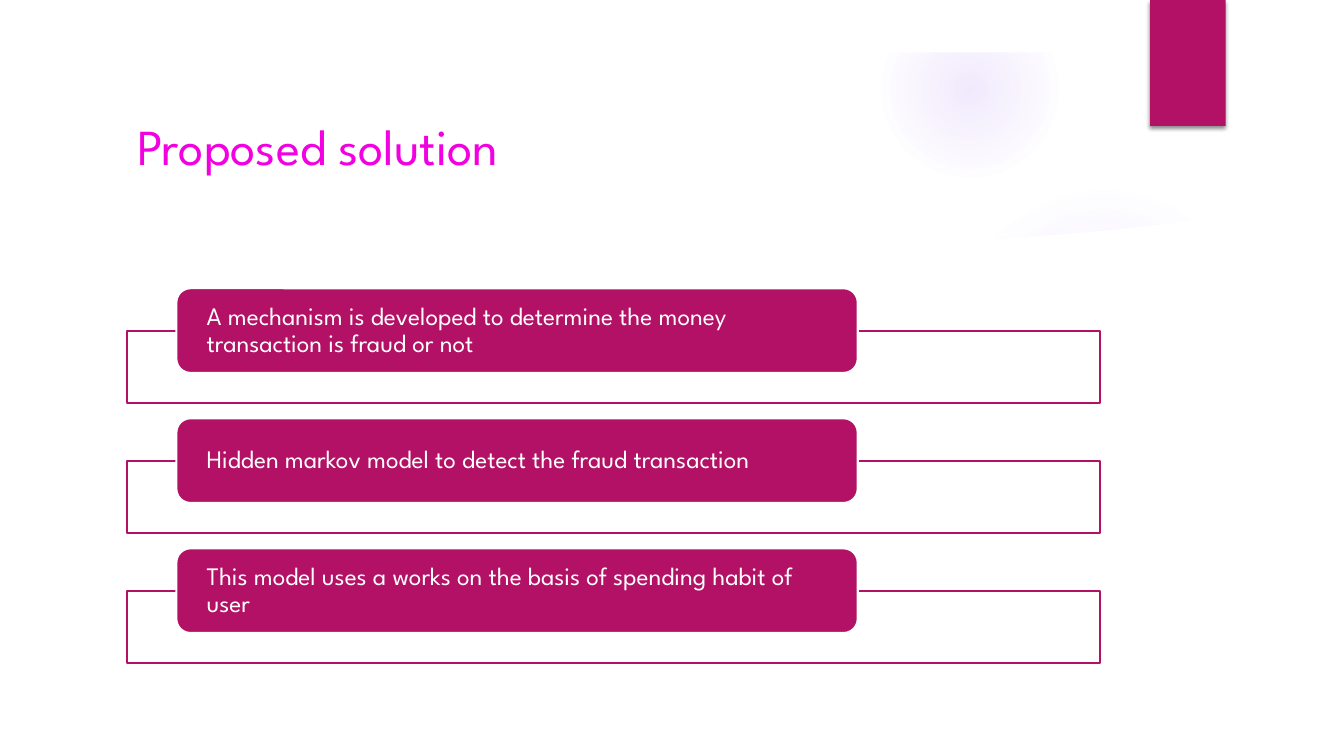
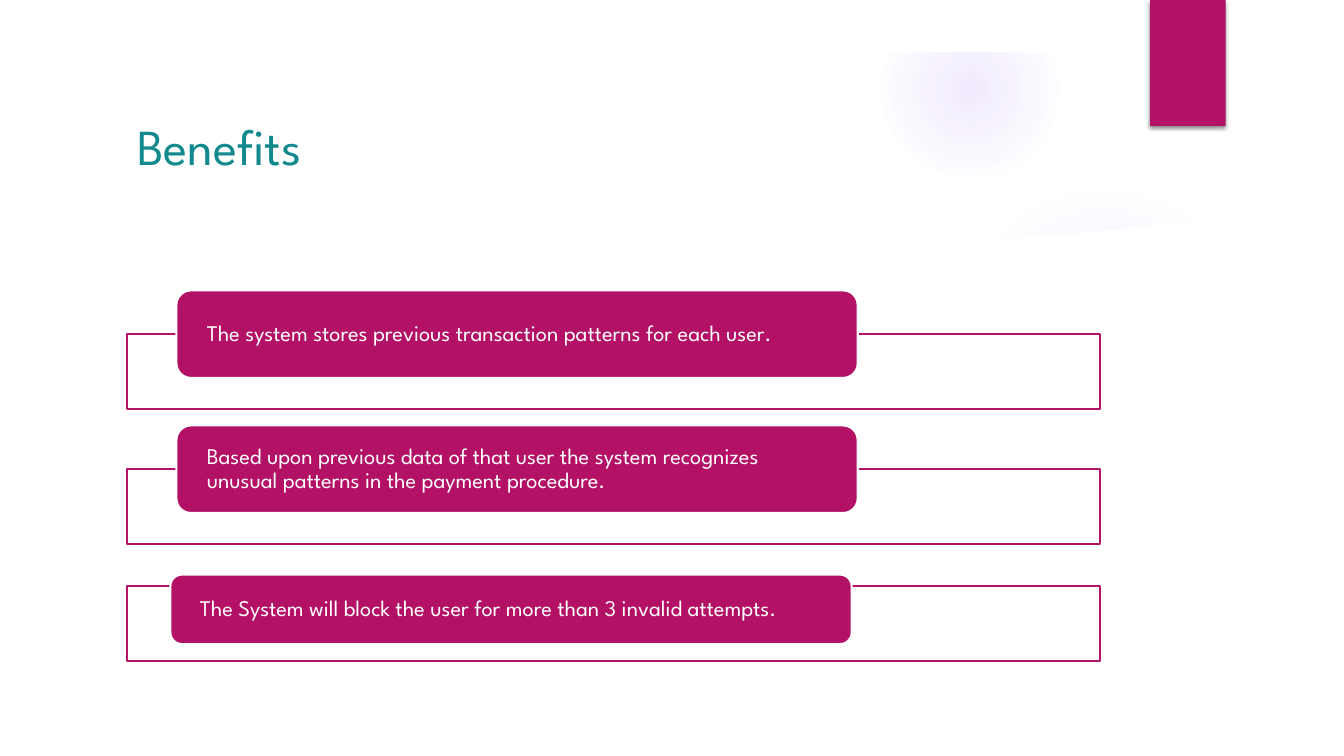
from pptx import Presentation
from pptx.dml.color import RGBColor
from pptx.enum.shapes import MSO_SHAPE
from pptx.enum.text import MSO_ANCHOR, PP_ALIGN
from pptx.oxml import parse_xml
from pptx.oxml.ns import nsdecls
from pptx.util import Pt

RECT, OVAL, ROUND = MSO_SHAPE.RECTANGLE, MSO_SHAPE.OVAL, MSO_SHAPE.ROUNDED_RECTANGLE
LEFT, MIDDLE = PP_ALIGN.LEFT, MSO_ANCHOR.MIDDLE

FONT = "League Spartan"
ACCENT, WHITE, GLOW = "B31166", "FFFFFF", "9B6BF2"
SLIDE_W, SLIDE_H = 960, 540
TITLE_BOX = (90.7, 76.3, 689.8, 55.4)
FRAME_X, FRAME_W = 90.7, 694.8
PILL_X, PILL_W = 126, 486.7

# Glows: box, then (position %, opacity %) of each gradient stop
GLOWS = [
    ((677.5, 131.8, 221.8, 221.8), [(0, 7), (36, 6), (69, 0)]),
    ((630, 0.7, 126, 126), [(0, 14), (36, 7), (73, 0)]),
]
# White page with a curved upper edge
PAGE = [(36, 146.9), (36, 504), (924.5, 504), (924.5, 146.9), (864, 156.2),
        (803.5, 163.4), (743, 169), (682.6, 172.8), (585, 177.1), (490, 178.6),
        (385, 176.4), (271, 170), (179, 163.4), (97, 154.8)]


def rgb(value):
    return RGBColor.from_string(value)


def points(box):
    return [Pt(v) for v in box]


def paint(shape, fill, line=None):
    shape.shadow.inherit = False
    shape.fill.solid()
    shape.fill.fore_color.rgb = rgb(fill)
    if line:
        shape.line.color.rgb = rgb(line)
        shape.line.width = Pt(1.5)
    else:
        shape.line.fill.background()


def add_block(s, kind, box, fill, line=None):
    shape = s.shapes.add_shape(kind, *points(box))
    paint(shape, fill, line)
    return shape


def set_radial(shape, stops):
    """Replace the solid fill with a radial gradient that fades out."""
    gs = "".join(
        f'<a:gs pos="{pos * 1000}"><a:srgbClr val="{GLOW}">'
        f'<a:alpha val="{opacity * 1000}"/></a:srgbClr></a:gs>'
        for pos, opacity in stops)
    grad = parse_xml(
        f'<a:gradFill {nsdecls("a")}><a:gsLst>{gs}</a:gsLst><a:path path="circle">'
        '<a:fillToRect l="50000" t="50000" r="50000" b="50000"/></a:path></a:gradFill>')
    solid = shape.element.xpath("./p:spPr/a:solidFill")[0]
    solid.getparent().replace(solid, grad)


def set_shadow(shape):
    effects = shape.element.xpath("./p:spPr/a:effectLst")[0]
    effects.append(parse_xml(
        f'<a:outerShdw {nsdecls("a")} blurRad="{Pt(3)}" dist="{Pt(2)}" dir="5400000">'
        '<a:srgbClr val="000000"><a:alpha val="45000"/></a:srgbClr></a:outerShdw>'))


def move_to_layout(s, shapes):
    """Put the shapes behind the placeholders of the slide's layout."""
    tree = s.slide_layout.shapes.element
    for i, shape in enumerate(shapes):
        shape.element.xpath("./p:nvSpPr/p:cNvPr")[0].set("id", str(100 + i))
        tree.insert(2 + i, shape.element)


def add_decor(s):
    """Draw the shared background once and hand it to the layout."""
    decor = []
    for box, stops in GLOWS:
        glow = add_block(s, OVAL, box, GLOW)
        set_radial(glow, stops)
        decor.append(glow)
    # White page and top margin crop the glows
    outline = [(Pt(x), Pt(y)) for x, y in PAGE]
    builder = s.shapes.build_freeform(*outline[0], scale=1.0)
    builder.add_line_segments(outline[1:], close=True)
    page = builder.convert_to_shape()
    paint(page, WHITE)
    margin = add_block(s, RECT, (0, 0, SLIDE_W, 37.4), WHITE)
    # Corner tab
    tab = add_block(s, RECT, (821.5, 0, 54, 90), ACCENT)
    set_shadow(tab)
    move_to_layout(s, decor + [page, margin, tab])


def add_title(s, text, color):
    title = s.shapes.title
    title.left, title.top, title.width, title.height = points(TITLE_BOX)
    tf = title.text_frame
    tf.text = text
    tf.vertical_anchor = MIDDLE
    p = tf.paragraphs[0]
    p.alignment = LEFT
    p.font.name, p.font.size = FONT, Pt(36)
    p.font.color.rgb = rgb(color)


def add_card(s, frame, pill, text, size):
    add_block(s, RECT, frame, WHITE, ACCENT)
    tf = add_block(s, ROUND, pill, ACCENT, WHITE).text_frame
    tf.word_wrap = True
    tf.vertical_anchor = MIDDLE
    tf.margin_left = tf.margin_right = Pt(18.7)
    tf.margin_top = tf.margin_bottom = 0
    tf.text = text
    p = tf.paragraphs[0]
    p.alignment = LEFT
    p.line_spacing = 0.9
    p.font.name, p.font.size = FONT, Pt(size)
    p.font.color.rgb = rgb(WHITE)


def add_cards(s, texts, top, pitch, pill_h, frame_h, size):
    """Stack cards; each frame starts at the middle of its pill."""
    for i, text in enumerate(texts):
        y = top + i * pitch
        add_card(s, (FRAME_X, y + pill_h / 2, FRAME_W, frame_h),
                 (PILL_X, y, PILL_W, pill_h), text, size)


def solution_slide(s):
    add_title(s, "Proposed solution", "F200E1")
    add_cards(s, [
        "A mechanism is developed to determine the money transaction is fraud or not",
        "Hidden markov model to detect the fraud transaction",
        "This model uses a works on the basis of spending habit of user",
    ], top=205.9, pitch=92.9, pill_h=60.5, frame_h=52, size=18)


def benefits_slide(s):
    add_title(s, "Benefits", "12898C")
    add_cards(s, [
        "The system stores previous transaction patterns for each user.",
        "Based upon previous data of that user the system recognizes unusual "
        "patterns in the payment procedure.",
    ], top=207.4, pitch=96.5, pill_h=62.6, frame_h=53.6, size=16)
    # The last card is flatter and its pill sits further left
    add_card(s, (FRAME_X, 418.3, FRAME_W, 53.6), (121.7, 410.4, PILL_W, 49.7),
             "The System will block the user for more than 3 invalid attempts.", 16)


def main():
    prs = Presentation()
    prs.slide_width, prs.slide_height = Pt(SLIDE_W), Pt(SLIDE_H)
    layout = prs.slide_layouts[5]
    first, second = [prs.slides.add_slide(layout) for _ in range(2)]
    add_decor(first)
    solution_slide(first)
    benefits_slide(second)
    prs.save("out.pptx")


if __name__ == "__main__":
    main()
